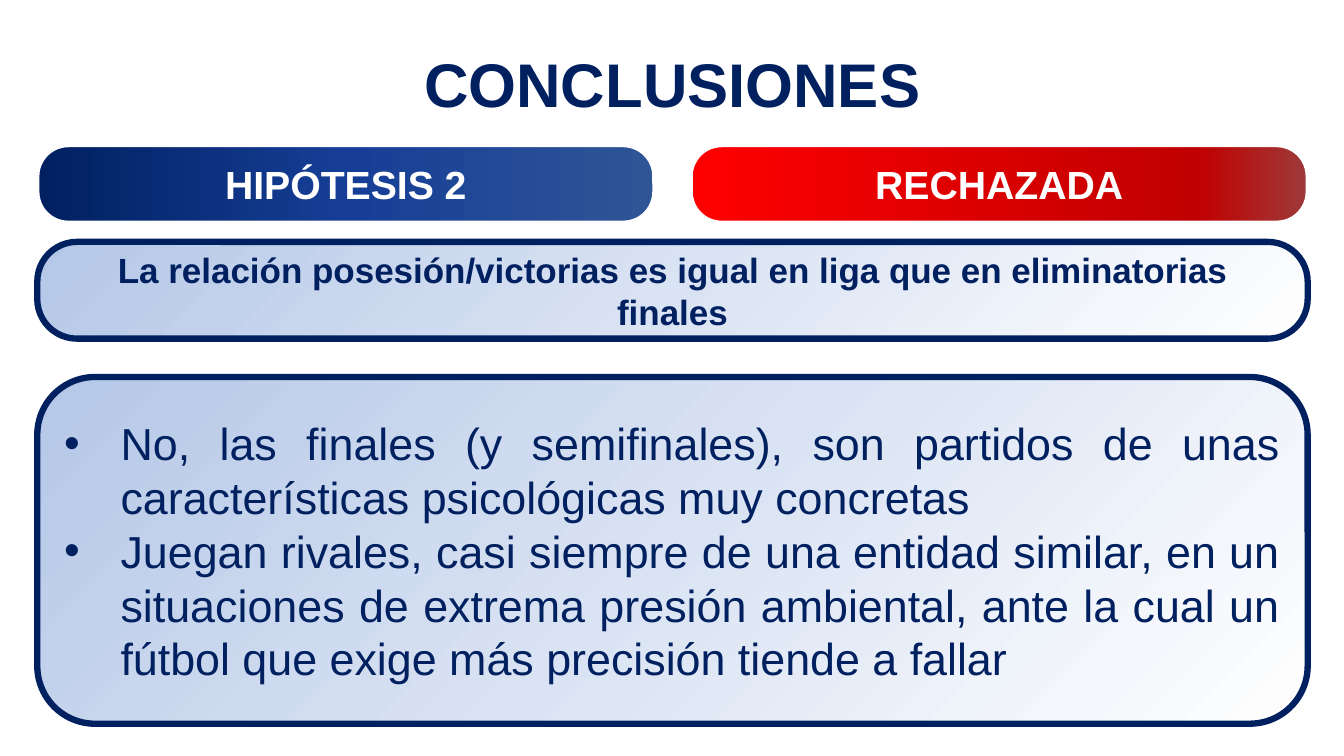
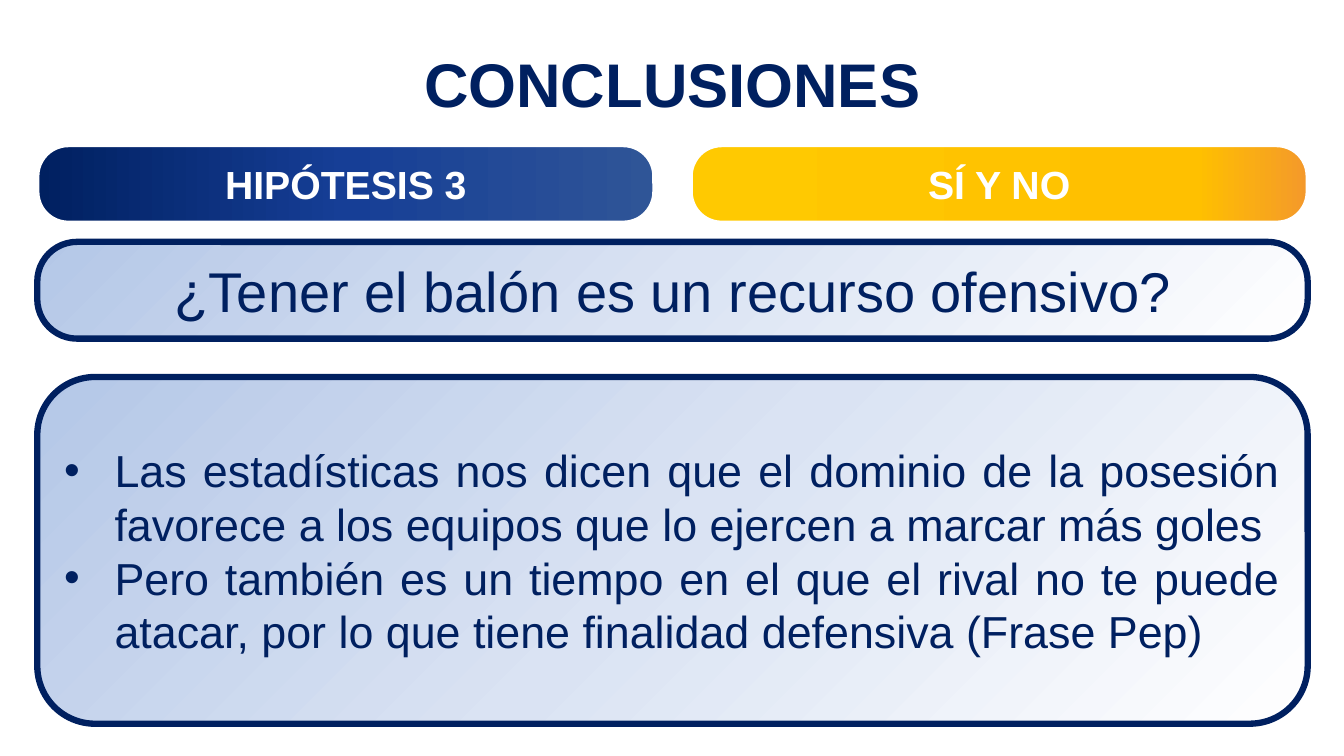
from dataclasses import dataclass

from lxml import etree
from pptx import Presentation
from pptx import util as u
from pptx.dml.color import RGBColor
from pptx.enum import shapes, text
from pptx.oxml.ns import qn


@dataclass(frozen=True)
class Theme:
    font: str = "Arial"
    navy: str = "002060"
    white: str = "FFFFFF"
    title_size: int = 44
    tag_size: int = 28
    body_size: int = 32
    panel_fill: tuple = ((0, "B4C7E7"), (50, "DAE3F3"), (100, "FFFFFF"))
    tag_fill: tuple = ((0, "002060"), (50, "163E96"), (100, "2F5597"))
    rejected_fill: tuple = ((0, "FF0000"), (82, "C00000"), (100, "9D3939"))
    mixed_fill: tuple = ((0, "FFC901"), (82, "FFC000"), (100, "F4992A"))


THEME = Theme()
TITLE = "CONCLUSIONES"
CONCLUSIONS = [
    dict(
        hypothesis="HIPÓTESIS 2", verdict="RECHAZADA", verdict_fill=THEME.rejected_fill,
        claim="La relación posesión/victorias es igual en liga que en eliminatorias finales",
        claim_size=25, claim_bold=True, indent=0.56,
        findings=[
            "No, las finales (y semifinales), son partidos de unas características "
            "psicológicas muy concretas",
            "Juegan rivales, casi siempre de una entidad similar, en un situaciones de "
            "extrema presión ambiental, ante la cual un fútbol que exige más precisión "
            "tiende a fallar",
        ],
    ),
    dict(
        hypothesis="HIPÓTESIS 3", verdict="SÍ Y NO", verdict_fill=THEME.mixed_fill,
        claim="¿Tener el balón es un recurso ofensivo?",
        claim_size=40, claim_bold=False, indent=0.5,
        findings=[
            "Las estadísticas nos dicen que el dominio de la posesión favorece a los "
            "equipos que lo ejercen a marcar más goles",
            "Pero también es un tiempo en el que el rival no te puede atacar, por lo que "
            "tiene finalidad defensiva (Frase Pep)",
        ],
    ),
]

WIDTH, HEIGHT = 13.33, 7.5
MARGIN, GUTTER = 0.37, 0.36
CONTENT_WIDTH = 12.6
TAG_WIDTH = (CONTENT_WIDTH - GUTTER) / 2
TITLE_BOX = (0.92, 0.48, 11.5, 0.77)
TAG_BOXES = [(MARGIN + i * (TAG_WIDTH + GUTTER), 1.44, TAG_WIDTH, 0.77) for i in range(2)]
CLAIM_BOX = (MARGIN, 2.4, CONTENT_WIDTH, 0.96)
FINDINGS_BOX = (MARGIN, 3.74, CONTENT_WIDTH, 3.44)


def inches(box):
    return [u.Inches(length) for length in box]


def write(holder, *paragraphs, size, color=THEME.navy, bold=False,
          align=text.PP_ALIGN.CENTER, spacing=None, indent=None):
    """Fill a shape with paragraphs; an indent in inches makes them bullets."""
    frame = holder.text_frame
    frame.word_wrap = True
    frame.vertical_anchor = text.MSO_ANCHOR.MIDDLE
    for i, words in enumerate(paragraphs):
        paragraph = frame.add_paragraph() if i else frame.paragraphs[0]
        paragraph.alignment = align
        if spacing:
            paragraph.line_spacing = spacing
        if indent:
            props = paragraph._p.get_or_add_pPr()
            props.set("marL", str(u.Inches(indent)))
            props.set("indent", str(-u.Inches(indent)))
            etree.SubElement(props, qn("a:buFont"), typeface=THEME.font)
            etree.SubElement(props, qn("a:buChar"), char="•")
        run = paragraph.add_run()
        run.text = words
        run.font.name = THEME.font
        run.font.size = u.Pt(size)
        run.font.bold = bold
        run.font.color.rgb = RGBColor.from_string(color)


def paint_gradient(shape, stops, angle):
    """Apply (percent, colour) stops at a clockwise angle in degrees."""
    shape.fill.gradient()
    gradient = shape._element.spPr.find(qn("a:gradFill"))
    stop_list = gradient.find(qn("a:gsLst"))
    for old_stop in list(stop_list):
        stop_list.remove(old_stop)
    for percent, color in stops:
        stop = etree.SubElement(stop_list, qn("a:gs"), pos=str(percent * 1000))
        etree.SubElement(stop, qn("a:srgbClr"), val=color)
    direction = gradient.find(qn("a:lin"))
    direction.set("ang", str(angle * 60000))
    direction.set("scaled", "0")


def add_panel(slide, box, stops, angle=45, rounding=None, border=THEME.navy, weight=4.5):
    panel = slide.shapes.add_shape(shapes.MSO_SHAPE.ROUNDED_RECTANGLE, *inches(box))
    panel.shadow.inherit = False
    if rounding:
        panel.adjustments[0] = rounding
    paint_gradient(panel, stops, angle)
    panel.line.color.rgb = RGBColor.from_string(border)
    panel.line.width = u.Pt(weight)
    return panel


def add_tag(slide, box, label, stops):
    tag = add_panel(slide, box, stops, angle=0, rounding=0.4, border=THEME.white, weight=3)
    write(tag, label, size=THEME.tag_size, color=THEME.white, bold=True)


def add_title(slide):
    title = slide.shapes.add_textbox(*inches(TITLE_BOX))
    write(title, TITLE, size=THEME.title_size, bold=True, spacing=0.9)
    title.text_frame.auto_size = text.MSO_AUTO_SIZE.SHAPE_TO_FIT_TEXT


def add_conclusion(deck, content):
    slide = deck.slides.add_slide(deck.slide_layouts[6])
    add_title(slide)
    claim = add_panel(slide, CLAIM_BOX, THEME.panel_fill, rounding=0.41)
    write(claim, content["claim"], size=content["claim_size"], bold=content["claim_bold"])
    findings = add_panel(slide, FINDINGS_BOX, THEME.panel_fill)
    write(findings, *content["findings"], size=THEME.body_size,
          align=text.PP_ALIGN.JUSTIFY, indent=content["indent"])
    labels = (content["hypothesis"], content["verdict"])
    fills = (THEME.tag_fill, content["verdict_fill"])
    for box, label, stops in zip(TAG_BOXES, labels, fills):
        add_tag(slide, box, label, stops)


def main():
    deck = Presentation()
    deck.slide_width, deck.slide_height = inches((WIDTH, HEIGHT))
    for content in CONCLUSIONS:
        add_conclusion(deck, content)
    deck.save("out.pptx")


if __name__ == "__main__":
    main()
